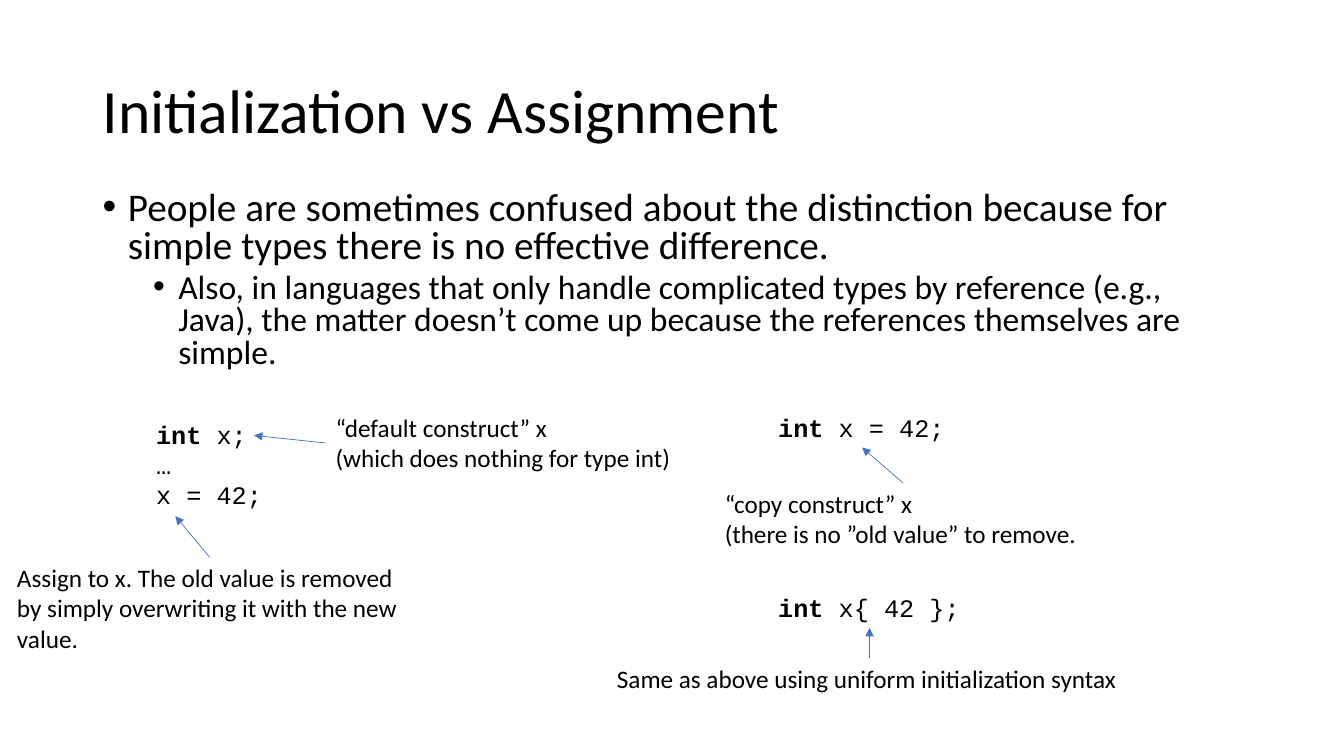
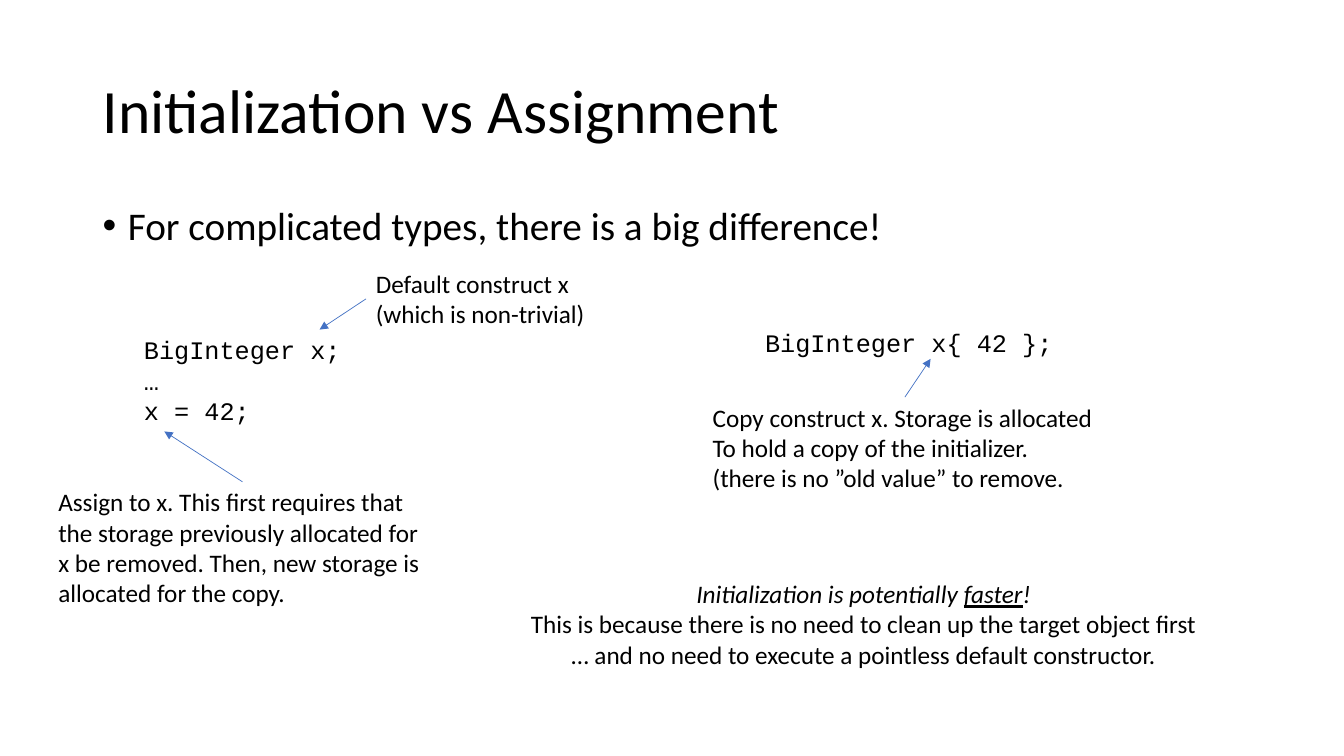
from dataclasses import dataclass

from lxml.etree import SubElement
from pptx import Presentation
from pptx.dml.color import RGBColor
from pptx.enum.shapes import MSO_CONNECTOR as Connector
from pptx.enum.text import MSO_ANCHOR as Anchor, MSO_AUTO_SIZE as AutoSize, PP_ALIGN as Align
from pptx.oxml.ns import qn
from pptx.util import Inches, Pt

TOP, LEFT, BOTTOM = 0, 1, 2


@dataclass(frozen=True)
class Theme:
    text: RGBColor = RGBColor(0x00, 0x00, 0x00)
    arrow: RGBColor = RGBColor(0x44, 0x72, 0xC4)
    background: RGBColor = RGBColor(0xFF, 0xFF, 0xFF)
    prose: str = "Calibri"
    code: str = "Courier New"
    title_size: int = 44
    bullet_sizes: tuple = (28, 24)
    bullet_gaps: tuple = (10, 5)
    label_size: int = 18
    arrow_width: float = 0.5


class Deck:
    def __init__(self, theme):
        self.theme = theme
        self.presentation = Presentation()
        self.presentation.slide_width = Inches(13.33)
        self.presentation.slide_height = Inches(7.5)
        self.slide = None

    def start_slide(self, title):
        self.slide = self.presentation.slides.add_slide(self.presentation.slide_layouts[6])
        fill = self.slide.background.fill
        fill.solid()
        fill.fore_color.rgb = self.theme.background
        frame = self.box(0.92, 0.4, 11.5, 1.45).text_frame
        frame.word_wrap = True
        frame.vertical_anchor = Anchor.MIDDLE
        heading = frame.paragraphs[0]
        heading.line_spacing = 0.9
        self.set_text(heading, title, self.theme.prose, self.theme.title_size)

    def box(self, left, top, width, height):
        return self.slide.shapes.add_textbox(
            Inches(left), Inches(top), Inches(width), Inches(height))

    def set_text(self, paragraph, content, font_name, size):
        """Content is a string, or a list of (text, names of styles)."""
        font = paragraph.font
        font.name, font.size = font_name, Pt(size)
        font.color.rgb = self.theme.text
        for text, *styles in [(content,)] if isinstance(content, str) else content:
            run = paragraph.add_run()
            run.text = text
            run.font.bold = "bold" in styles or None
            run.font.italic = "italic" in styles or None
            run.font.underline = "underline" in styles or None

    def paragraphs(self, frame, lines):
        for index, line in enumerate(lines):
            yield (frame.add_paragraph() if index else frame.paragraphs[0]), line

    def bullets(self, top, height, spacing, *lines):
        """Each line goes one level below the line before it."""
        frame = self.box(0.92, top, 11.5, height).text_frame
        frame.word_wrap = True
        for level, (paragraph, line) in enumerate(self.paragraphs(frame, lines)):
            paragraph.level = level
            paragraph.line_spacing = spacing
            paragraph.space_before = Pt(self.theme.bullet_gaps[level])
            properties = paragraph._p.get_or_add_pPr()
            properties.set("marL", str(Inches(0.25 + 0.5 * level)))
            properties.set("indent", str(Inches(-0.25)))
            SubElement(properties, qn("a:buFont"), typeface="Arial")
            SubElement(properties, qn("a:buChar"), char="•")
            self.set_text(paragraph, line, self.theme.prose, self.theme.bullet_sizes[level])

    def label(self, place, lines, font_name, align=Align.LEFT):
        label = self.box(*place)
        frame = label.text_frame
        frame.word_wrap = False
        frame.auto_size = AutoSize.SHAPE_TO_FIT_TEXT
        for paragraph, line in self.paragraphs(frame, lines):
            paragraph.alignment = align
            self.set_text(paragraph, line, font_name, self.theme.label_size)
        return label

    def code(self, place, *lines):
        return self.label(place, lines, self.theme.code)

    def note(self, place, *lines, align=Align.LEFT):
        return self.label(place, lines, self.theme.prose, align)

    def arrow(self, note, side, target):
        """Point from a side of the note to an (x, y) spot or to the bottom of a code box."""
        to_spot = isinstance(target, tuple)
        x, y = map(Inches, target) if to_spot else (0, 0)
        arrow = self.slide.shapes.add_connector(Connector.STRAIGHT, 0, 0, x, y)
        arrow.begin_connect(note, side)
        if not to_spot:
            arrow.end_connect(target, BOTTOM)
        arrow.line.color.rgb = self.theme.arrow
        arrow.line.width = Pt(self.theme.arrow_width)
        properties = arrow._element.spPr
        SubElement(properties.get_or_add_ln(), qn("a:tailEnd"), type="triangle")
        SubElement(properties, qn("a:effectLst"))


def simple_types(deck):
    deck.start_slide("Initialization vs Assignment")
    deck.bullets(
        1.85, 1.97, 0.8,
        "People are sometimes confused about the distinction because for simple types "
        "there is no effective difference.",
        "Also, in languages that only handle complicated types by reference (e.g., Java), "
        "the matter doesn’t come up because the references themselves are simple.")
    keyword = ("int", "bold")
    deck.code((1.45, 4.11, 1.26, 1.01), [keyword, (" x;",)], "…", "x = 42;")
    copy_code = deck.code((7.62, 4.04, 1.86, 0.4), [keyword, (" x = 42;",)])
    uniform_code = deck.code((7.62, 5.83, 2.01, 0.4), [keyword, (" x{ 42 };",)])

    default_note = deck.note((3.23, 4.04, 3.57, 0.71),
                             "“default construct” x", "(which does nothing for type int)")
    assign_note = deck.note((0.07, 5.53, 4.02, 1.01),
                            "Assign to x. The old value is removed",
                            "by simply overwriting it with the new", "value.")
    copy_note = deck.note((7.09, 4.79, 3.73, 0.71),
                          "“copy construct” x", "(there is no ”old value” to remove.")
    uniform_note = deck.note((6.02, 6.53, 5.21, 0.4),
                             "Same as above using uniform initialization syntax")

    deck.arrow(assign_note, TOP, (1.74, 5.12))
    deck.arrow(default_note, LEFT, (2.52, 4.32))
    deck.arrow(copy_note, TOP, copy_code)
    deck.arrow(uniform_note, TOP, uniform_code)


def complicated_types(deck):
    deck.start_slide("Initialization vs Assignment")
    deck.bullets(2, 0.61, 0.9, "For complicated types, there is a big difference!")
    deck.code((1.33, 3.27, 2.16, 1.01), "BigInteger x;", "…", "x = 42;")
    deck.code((7.49, 3.2, 3.07, 0.4), "BigInteger x{ 42 };")

    default_note = deck.note((3.63, 2.61, 2.37, 0.71),
                             "Default construct x", "(which is non-trivial)")
    copy_note = deck.note((6.97, 3.94, 4.01, 1.01),
                          "Copy construct x. Storage is allocated",
                          "To hold a copy of the initializer.",
                          "(there is no ”old value” to remove.")
    assign_note = deck.note((0.48, 4.78, 3.85, 1.31),
                            "Assign to x. This first requires that",
                            "the storage previously allocated for",
                            "x be removed. Then, new storage is",
                            "allocated for the copy.")
    deck.note((5.09, 5.69, 6.95, 1.01),
              [("Initialization is potentially ", "italic"),
               ("faster", "italic", "underline"), ("!", "italic")],
              "This is because there is no need to clean up the target object first",
              "… and no need to execute a pointless default constructor.",
              align=Align.CENTER)

    deck.arrow(default_note, LEFT, (3.17, 3.27))
    deck.arrow(copy_note, TOP, (9.23, 3.56))
    deck.arrow(assign_note, TOP, (1.63, 4.28))


def main():
    deck = Deck(Theme())
    simple_types(deck)
    complicated_types(deck)
    deck.presentation.save("out.pptx")


if __name__ == "__main__":
    main()
